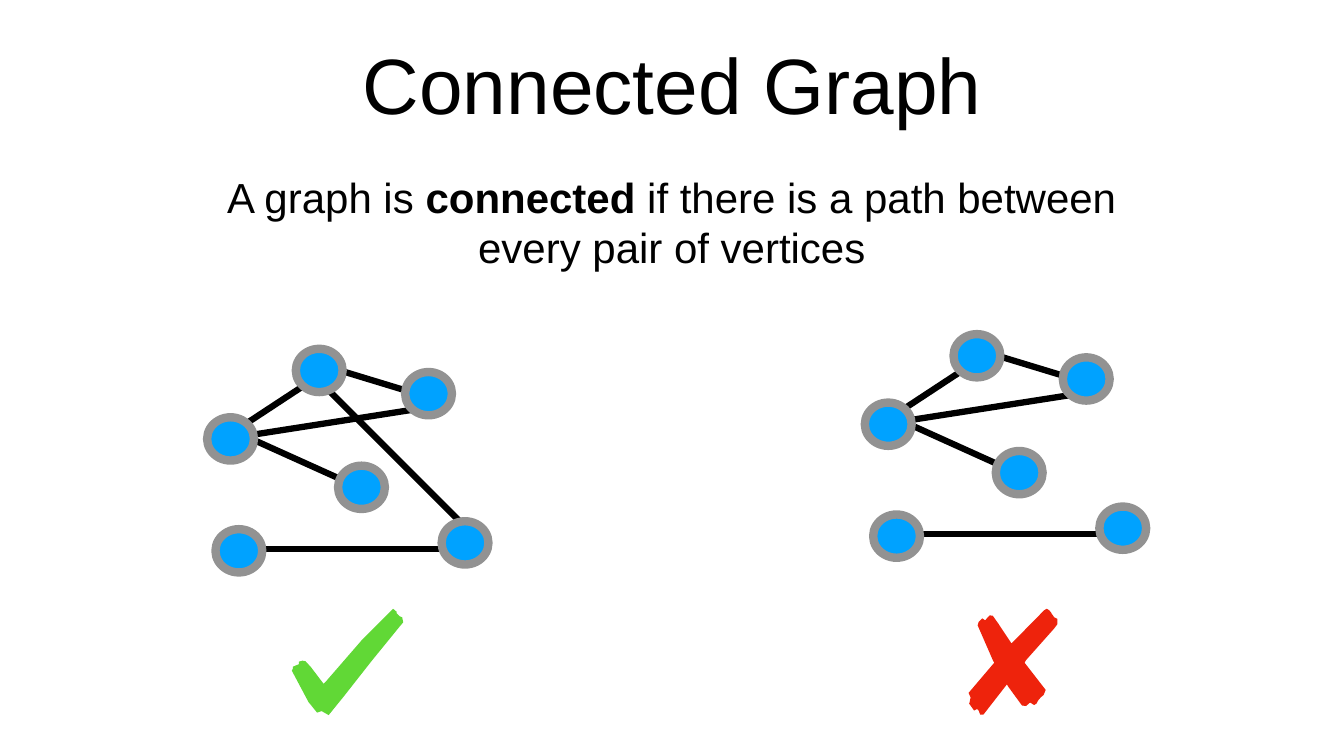
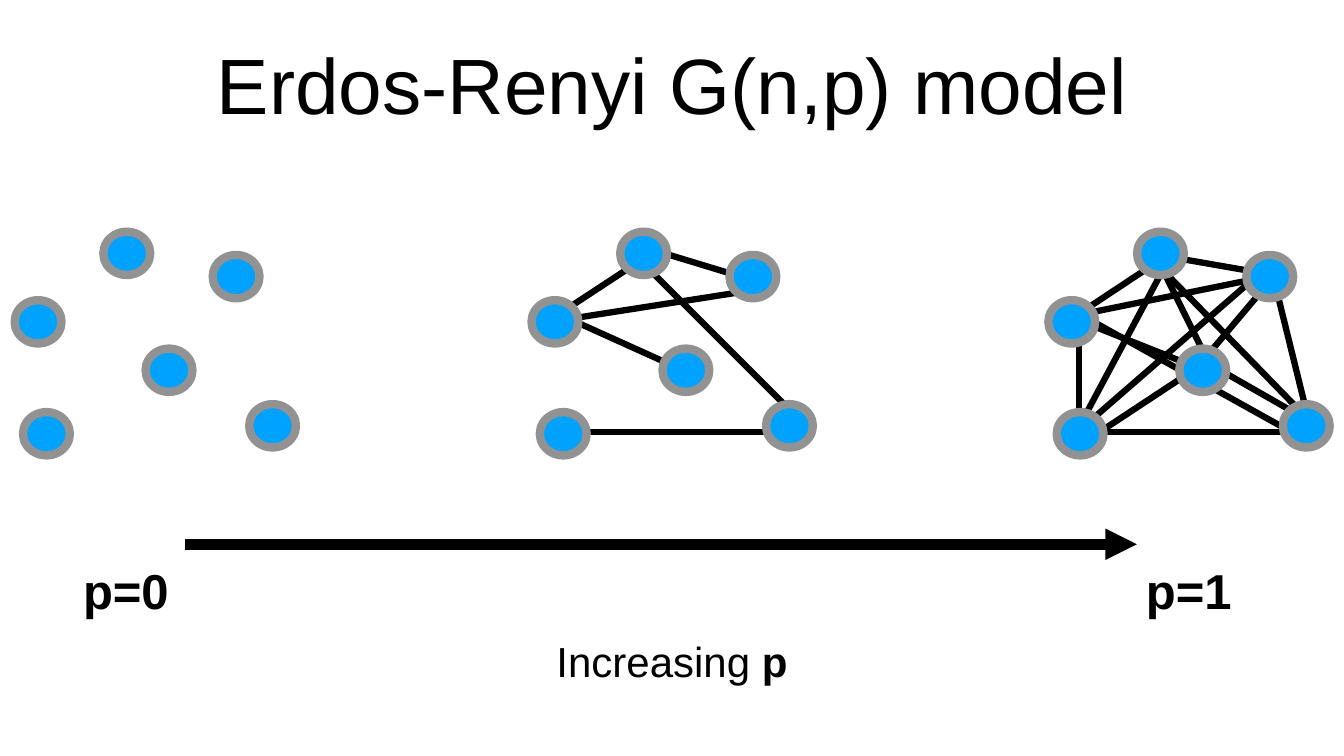
from lxml.etree import SubElement
from pptx import Presentation
from pptx.dml.color import RGBColor
from pptx.enum.shapes import MSO_CONNECTOR, MSO_SHAPE
from pptx.enum.text import MSO_ANCHOR, MSO_AUTO_SIZE, PP_ALIGN
from pptx.oxml.ns import qn
from pptx.util import Cm, Pt

BLACK = RGBColor(0x00, 0x00, 0x00)
WHITE = RGBColor(0xFF, 0xFF, 0xFF)
BLUE = RGBColor(0x00, 0xA2, 0xFF)
GRAY = RGBColor(0x92, 0x92, 0x92)
GREEN = RGBColor(0x61, 0xD8, 0x36)
RED = RGBColor(0xEE, 0x23, 0x0C)
FONT = "Arial"

NODE_W, NODE_H = 2.36, 2.18
NODES = [(4.47, 0), (0.42, 9.09), (0, 3.45), (9.98, 1.17), (11.82, 8.69), (6.6, 5.89)]
SPLIT_EDGES = [
    (1.55, 10.08, 12.62, 10.08),
    (1.9, 4.39, 7.42, 6.88),
    (11.3, 2.49, 5.77, 0.81),
    (1.9, 4.39, 11.13, 2.95),
    (1.55, 4.04, 5.31, 1.57),
]
CONNECTED_EDGES = [(5.23, 1.19, 13.26, 9.22)] + SPLIT_EDGES
COMPLETE_EDGES = [
    (7.92, 6.55, 13.03, 9.47),
    (1.68, 10.08, 12.5, 10.08),
    (1.68, 10.69, 7.26, 7.01),
    (1.27, 10.26, 10.85, 1.93),
    (7.52, 6.81, 11.25, 2.39),
    (13.08, 9.35, 11.25, 1.93),
    (1.32, 10.26, 5.77, 1.93),
    (8.41, 7.26, 5.77, 1.93),
    (13, 9.35, 5.77, 1.93),
    (5.66, 1.19, 10.95, 2.11),
    (2.01, 4.39, 12.7, 10.34),
    (1.35, 4.39, 7.59, 6.88),
    (1.52, 4.19, 11.66, 2.13),
    (1.55, 4.32, 1.55, 10.41),
    (1.68, 4.04, 5.41, 1.57),
]

CHECK = [
    (201, 0), (139, 62), (67, 145), (63, 149), (60, 145), (38, 116), (27, 104),
    (21, 103), (14, 105), (14, 110), (2, 115), (2, 119), (0, 123), (33, 185),
    (50, 206), (59, 203), (73, 211), (103, 174), (158, 104), (215, 34),
    (221, 27), (219, 17), (214, 15), (208, 9), (208, 6),
]
CROSS = [
    (155, 0), (150, 3), (89, 65), (85, 69), (82, 64), (58, 28), (48, 14),
    (42, 13), (38, 17), (33, 23), (27, 19), (20, 26), (18, 33), (49, 104),
    (51, 107), (0, 167), (4, 176), (3, 181), (2, 186), (1, 188), (11, 202),
    (17, 199), (20, 202), (23, 210), (29, 210), (31, 208), (73, 154),
    (76, 150), (79, 155), (106, 192), (114, 193), (122, 186), (130, 191),
    (135, 188), (138, 182), (143, 176), (149, 171), (153, 161), (111, 107),
    (114, 102), (170, 39), (176, 31), (176, 20), (170, 17), (165, 10),
    (164, 8), (160, 3),
]


def write(tf, size, runs, wrap=True):
    tf.word_wrap = wrap
    tf.auto_size = MSO_AUTO_SIZE.NONE
    tf.vertical_anchor = MSO_ANCHOR.MIDDLE
    tf.margin_left = tf.margin_right = tf.margin_top = tf.margin_bottom = Cm(0.15)
    p = tf.paragraphs[0]
    p.alignment = PP_ALIGN.CENTER
    for text, bold in runs:
        r = p.add_run()
        r.text = text
        r.font.name = FONT
        r.font.size = Pt(size)
        r.font.bold = bold
        r.font.color.rgb = BLACK


def add_line(shapes, x1, y1, x2, y2, width):
    line = shapes.add_connector(MSO_CONNECTOR.STRAIGHT, Cm(x1), Cm(y1), Cm(x2), Cm(y2))
    line.line.color.rgb = BLACK
    line.line.width = Pt(width)
    SubElement(line._element.spPr, qn("a:effectLst"))
    return line


prs = Presentation()
prs.slide_width = Cm(67.74)
prs.slide_height = Cm(38.1)

slides = [
    {
        "title": "Connected Graph",
        "graphs": [(43.59, 16.84, SPLIT_EDGES), (10.44, 17.58, CONNECTED_EDGES)],
        "texts": [
            (9.88, 8.48, 47.96, 5.38, 60, True, [
                ("A graph is ", False),
                ("connected", True),
                (" if there is a path between every pair of vertices", False),
            ]),
        ],
        "marks": [(14.71, 30.68, CHECK, GREEN), (48.82, 30.68, CROSS, RED)],
        "arrows": [],
    },
    {
        "title": "Erdos-Renyi G(n,p) model",
        "graphs": [
            (0.74 + 26.05 * i, 11.68, edges)
            for i, edges in enumerate([[], CONNECTED_EDGES, COMPLETE_EDGES])
        ],
        "texts": [
            (20.75, 31.9, 26.24, 2.82, 60, True, [("Increasing ", False), ("p", True)]),
            (4.01, 28.12, 4.67, 3.2, 70, False, [("p=0", True)]),
            (57.58, 28.12, 4.67, 3.2, 70, False, [("p=1", True)]),
        ],
        "marks": [],
        "arrows": [(9.3, 27.43, 57.3, 27.43)],
    },
]

for content in slides:
    s = prs.slides.add_slide(prs.slide_layouts[5])
    s.background.fill.solid()
    s.background.fill.fore_color.rgb = WHITE

    title = s.shapes.title
    title.left, title.top, title.width, title.height = Cm(4.7), Cm(1), Cm(58.34), Cm(6.35)
    write(title.text_frame, 112, [(content["title"], False)])

    for x, y, w, h, size, wrap, runs in content["texts"]:
        box = s.shapes.add_textbox(Cm(x), Cm(y), Cm(w), Cm(h))
        write(box.text_frame, size, runs, wrap)

    for x, y, edges in content["graphs"]:
        graph = s.shapes.add_group_shape()
        for x1, y1, x2, y2 in edges:
            add_line(graph.shapes, x + x1, y + y1, x + x2, y + y2, 9)
        for dx, dy in NODES:
            sp = graph.shapes.add_shape(
                MSO_SHAPE.OVAL, Cm(x + dx), Cm(y + dy), Cm(NODE_W), Cm(NODE_H))
            sp.shadow.inherit = False
            sp.fill.solid()
            sp.fill.fore_color.rgb = BLUE
            sp.line.color.rgb = GRAY
            sp.line.width = Pt(12)

    for x, y, points, color in content["marks"]:
        outline = s.shapes.build_freeform(*points[0], scale=Cm(2.54) / 100)
        outline.add_line_segments(points[1:], close=True)
        sp = outline.convert_to_shape(Cm(x), Cm(y))
        sp.shadow.inherit = False
        sp.fill.solid()
        sp.fill.fore_color.rgb = color
        sp.line.fill.background()

    for ends in content["arrows"]:
        arrow = add_line(s.shapes, *ends, 15)
        SubElement(arrow.line._get_or_add_ln(), qn("a:tailEnd"), type="triangle")

prs.save("out.pptx")
